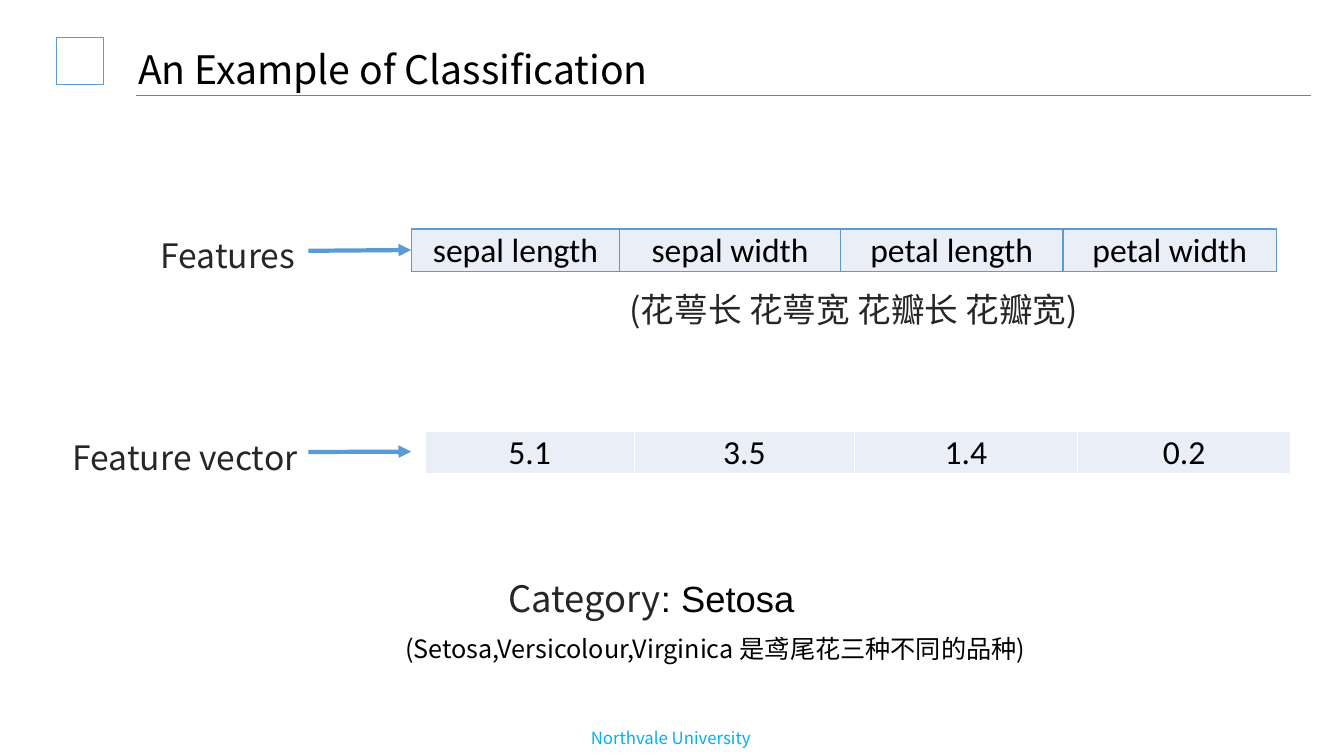
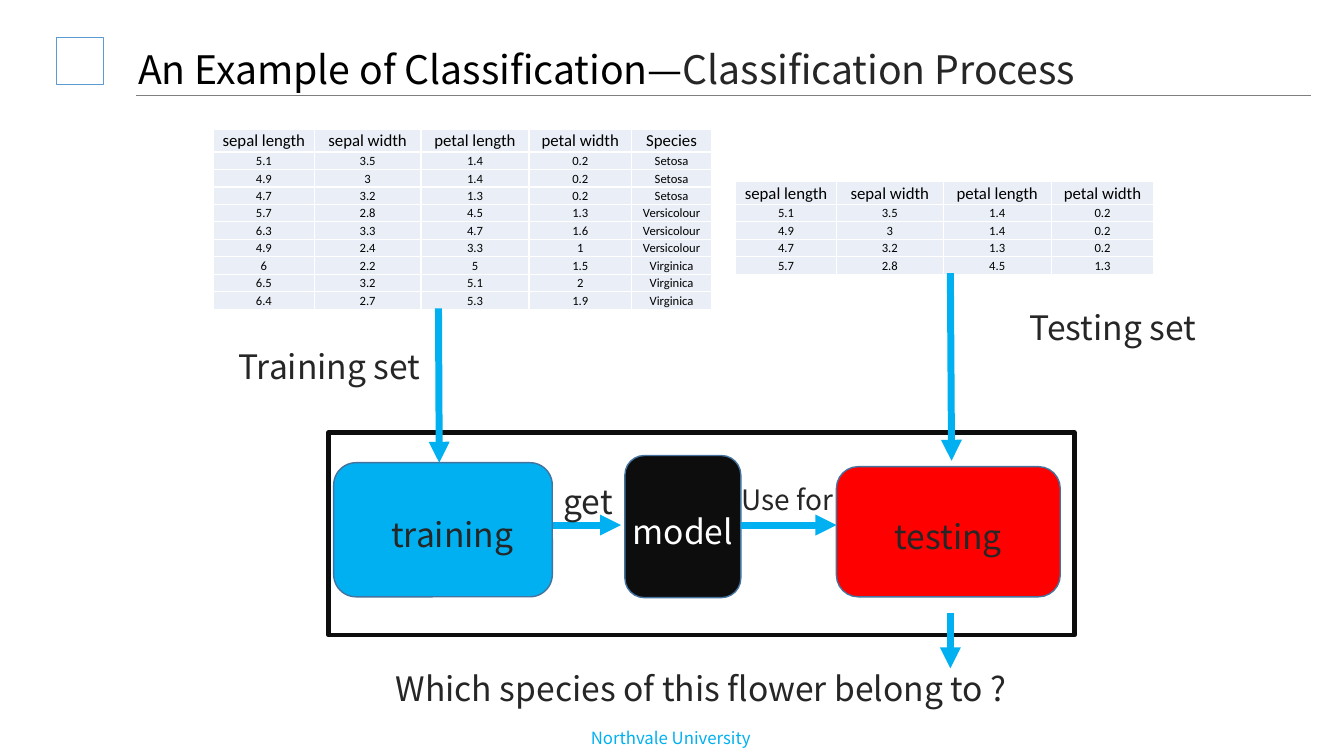
"""Build two slides on classifying iris flowers and save them as out.pptx."""
from lxml.etree import SubElement
from pptx import Presentation
from pptx.dml.color import RGBColor
from pptx.enum.shapes import MSO_CONNECTOR, MSO_SHAPE
from pptx.enum.text import MSO_ANCHOR, MSO_AUTO_SIZE, PP_ALIGN
from pptx.oxml.ns import qn
from pptx.util import Cm, Pt

COLORS = {
    "black": "000000", "ink": "262626", "night": "0D0D0D", "white": "FFFFFF",
    "blue": "5B9BD5", "edge": "43739E", "sky": "00B0F0", "red": "FF0000",
    "cell": "EAEFF7", "rule": "7F7F7F",
}
FONT = "Noto Sans CJK SC"
FOOTER = "Northvale University"
TITLE = "An Example of Classification"

FEATURES = ["sepal length", "sepal width", "petal length", "petal width"]
TRAINING_ROWS = [
    ("5.1", "3.5", "1.4", "0.2", "Setosa"),
    ("4.9", "3", "1.4", "0.2", "Setosa"),
    ("4.7", "3.2", "1.3", "0.2", "Setosa"),
    ("5.7", "2.8", "4.5", "1.3", "Versicolour"),
    ("6.3", "3.3", "4.7", "1.6", "Versicolour"),
    ("4.9", "2.4", "3.3", "1", "Versicolour"),
    ("6", "2.2", "5", "1.5", "Virginica"),
    ("6.5", "3.2", "5.1", "2", "Virginica"),
    ("6.4", "2.7", "5.3", "1.9", "Virginica"),
]
TRAINING_SET = [(*FEATURES, "Species"), *TRAINING_ROWS]
TESTING_SET = [FEATURES, *(row[:4] for row in TRAINING_ROWS[:4])]

WIDE_COLUMNS = [5.26, 5.56, 5.61, 5.38]
SMALL_COLUMNS = [2.54, 2.69, 2.72, 2.59, 2.01]

EXAMPLE_LABELS = [
    ("Features", (2.62, 5.36, 6.25, 1.63), {"spacing": 1.5}),
    ("Feature vector", (0, 10.36, 9.33, 1.8), {"spacing": 1.5}),
    ("(花萼长 花萼宽 花瓣长 花瓣宽)", (14.96, 7.14, 13.11, 1.3), {}),
    ([("Category", {}), (": Setosa", {"font": "Arial", "color": "black"})],
     (10.44, 14.38, 11.96, 1.37), {"size": 26}),
    ("(Setosa,Versicolour,Virginica 是鸢尾花三种不同的品种)",
     (9.96, 15.82, 16.8, 1.02),
     {"size": 18, "color": "black", "align": PP_ALIGN.LEFT}),
]
EXAMPLE_ARROWS = [(7.77, 6.32, 10.36, 6.3), (7.77, 11.39, 10.36, 11.38)]

STEPS = [
    ("training", (8.41, 11.66, 5.51, 3.38), "sky", "ink", 0.47),
    ("testing", (21.08, 11.76, 5.64, 3.28), "red", "ink", 0),
    ("model", (15.75, 11.48, 2.92, 3.58), "night", "white", 0),
]
PROCESS_LABELS = [
    ("Training set", (4.24, 8.15, 8.13, 1.63), 24),
    ("Testing set", (23.98, 7.09, 8.13, 1.8), 24),
    ("get", (12.37, 11.48, 4.9, 1.8), 24),
    ("Use for", (17.4, 11.68, 4.9, 1.4), 20),
    ("Which species of this flower belong to ?", (8.59, 16.26, 18.16, 1.63), 24),
]
PROCESS_ARROWS = [
    (11.05, 7.77, 11.07, 11.66),
    (23.95, 6.88, 23.98, 11.61),
    (13.94, 13.23, 15.65, 13.23),
    (18.67, 13.23, 21.08, 13.23),
    (23.95, 15.44, 23.95, 16.84),
]


def rgb(name):
    return RGBColor.from_string(COLORS[name])


def write(frame, text, size=24, color="ink", font=FONT, align=PP_ALIGN.CENTER,
          spacing=None, margins=(0.25, 0.13, 0.25, 0.13)):
    """Fill a text frame; text is a string or a list of (string, overrides)."""
    frame.word_wrap = True
    frame.auto_size = MSO_AUTO_SIZE.NONE
    frame.vertical_anchor = MSO_ANCHOR.MIDDLE
    (frame.margin_left, frame.margin_top,
     frame.margin_right, frame.margin_bottom) = map(Cm, margins)
    fill_paragraph(frame.paragraphs[0], text, size, color, font, align, spacing)


def fill_paragraph(para, text, size, color, font, align, spacing=None):
    para.alignment = align
    if spacing:
        para.line_spacing = spacing
    for words, changes in [(text, {})] if isinstance(text, str) else text:
        span = para.add_run()
        span.text = words
        span.font.size = Pt(size)
        span.font.color.rgb = rgb(changes.get("color", color))
        span.font.name = changes.get("font", font)
        east_asian = SubElement(span._r.get_or_add_rPr(), qn("a:ea"))
        east_asian.set("typeface", span.font.name)


def add_label(page, text, place, **style):
    box = page.shapes.add_textbox(*map(Cm, place))
    write(box.text_frame, text, **style)


def add_box(page, kind, place, line, width, fill=None):
    box = page.shapes.add_shape(kind, *map(Cm, place))
    box.shadow.inherit = False
    box.line.color.rgb = rgb(line)
    box.line.width = Pt(width)
    if fill:
        box.fill.solid()
        box.fill.fore_color.rgb = rgb(fill)
    else:
        box.fill.background()
    return box


def add_line(page, ends, color, width, arrow=True):
    line = page.shapes.add_connector(MSO_CONNECTOR.STRAIGHT, *map(Cm, ends))
    line.line.color.rgb = rgb(color)
    line.line.width = Pt(width)
    if arrow:
        SubElement(line.line._get_or_add_ln(), qn("a:tailEnd")).set("type", "triangle")
    SubElement(line._element.spPr, qn("a:effectLst"))


def add_borders(cell, color):
    properties = cell._tc.get_or_add_tcPr()
    for side in ("lnL", "lnR", "lnT", "lnB"):
        border = SubElement(properties, qn(f"a:{side}"), w=str(Pt(1)))
        fill = SubElement(border, qn("a:solidFill"))
        SubElement(fill, qn("a:srgbClr"), val=COLORS[color])


def add_grid(page, rows, left, top, columns, heights, sizes, border="white"):
    """Add a table; heights and sizes give the first row, then the others."""
    columns = columns[:len(rows[0])]
    row_heights = [heights[min(index, 1)] for index in range(len(rows))]
    place = (left, top, sum(columns), sum(row_heights))
    table = page.shapes.add_table(len(rows), len(columns), *map(Cm, place)).table
    table.first_row = table.horz_banding = False
    for column, width in zip(table.columns, columns):
        column.width = Cm(width)
    for index, (row, values) in enumerate(zip(table.rows, rows)):
        row.height = Cm(row_heights[index])
        for cell, value in zip(row.cells, values):
            cell.vertical_anchor = MSO_ANCHOR.MIDDLE
            cell.margin_left = cell.margin_right = cell.margin_top = Cm(0.03)
            cell.margin_bottom = 0
            add_borders(cell, border)
            cell.fill.solid()
            cell.fill.fore_color.rgb = rgb("cell")
            fill_paragraph(cell.text_frame.paragraphs[0], value,
                           sizes[min(index, 1)], "black", "Calibri", PP_ALIGN.CENTER)


def add_page(deck, title):
    """Add a slide with the shared title style, marker, rule and footer."""
    page = deck.slides.add_slide(deck.slide_layouts[5])
    heading = page.shapes.title
    heading.left, heading.top, heading.width, heading.height = map(
        Cm, (3.23, 1.02, 30.25, 1.45))
    write(heading.text_frame, title, size=28, color="black", align=PP_ALIGN.LEFT)
    add_box(page, MSO_SHAPE.RECTANGLE, (1.42, 0.94, 1.19, 1.19), "blue", 0.75)
    add_line(page, (3.43, 2.41, 33.05, 2.41), "rule", 1, arrow=False)
    add_label(page, FOOTER, (8.28, 17.96, 17.25, 1.02),
              size=12, color="sky", spacing=1.5)
    return page


def add_example(deck):
    page = add_page(deck, TITLE)
    add_grid(page, [FEATURES], 10.36, 5.77, WIDE_COLUMNS, [1.07], [24], "blue")
    add_grid(page, [TRAINING_ROWS[0][:4]], 10.72, 10.87, WIDE_COLUMNS, [1.04], [24])
    for text, place, style in EXAMPLE_LABELS:
        add_label(page, text, place, **style)
    for ends in EXAMPLE_ARROWS:
        add_line(page, ends, "blue", 3)


def add_process(deck):
    page = add_page(deck, [(TITLE + "—", {}),
                           ("Classification Process", {"color": "ink"})])
    add_box(page, MSO_SHAPE.RECTANGLE, (8.28, 10.9, 18.8, 5.11), "night", 3)
    for text, place, fill, color, indent in STEPS:
        step = add_box(page, MSO_SHAPE.ROUNDED_RECTANGLE, place, "edge", 1, fill)
        write(step.text_frame, text, color=color, spacing=1.5,
              margins=(indent, 0.13, 0, 0.4))
    for rows, left, top in [(TRAINING_SET, 5.38, 3.25), (TESTING_SET, 18.54, 4.57)]:
        add_grid(page, rows, left, top, SMALL_COLUMNS, [0.58, 0.44], [12, 9])
    for ends in PROCESS_ARROWS:
        add_line(page, ends, "sky", 5)
    for text, place, size in PROCESS_LABELS:
        add_label(page, text, place, size=size, spacing=1.5)


def main():
    deck = Presentation()
    deck.slide_width, deck.slide_height = Cm(33.87), Cm(19.05)
    add_example(deck)
    add_process(deck)
    deck.save("out.pptx")


if __name__ == "__main__":
    main()
